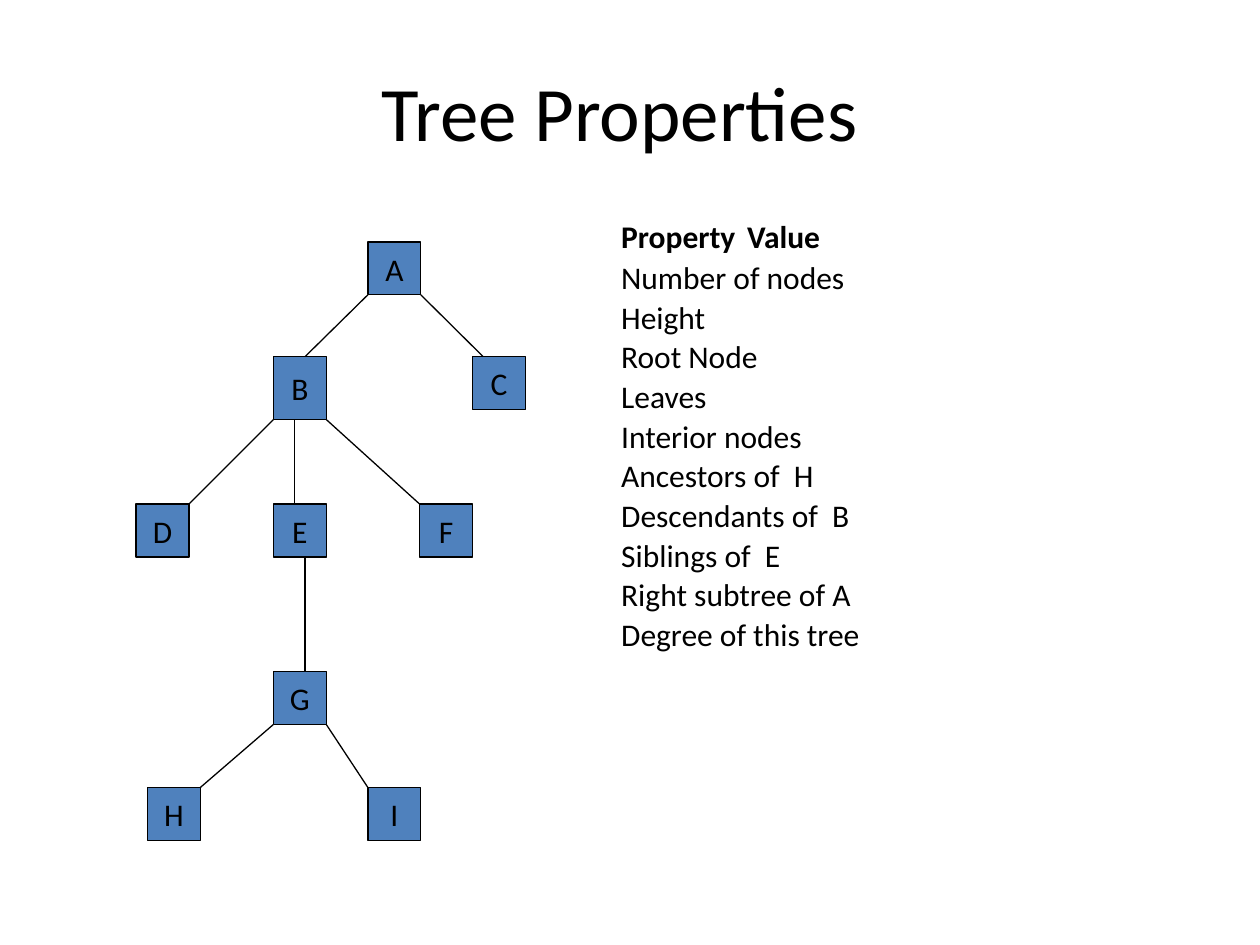
from lxml import etree
from pptx import Presentation
from pptx.dml.color import RGBColor
from pptx.enum.shapes import MSO_CONNECTOR, MSO_SHAPE
from pptx.enum.text import MSO_ANCHOR, PP_ALIGN
from pptx.oxml.ns import qn
from pptx.util import Inches, Pt

RECT = MSO_SHAPE.RECTANGLE
LINE = MSO_CONNECTOR.STRAIGHT
MID = MSO_ANCHOR.MIDDLE
MID_X = PP_ALIGN.CENTER
LEFT = PP_ALIGN.LEFT

INK = {name: RGBColor.from_string(code) for name, code in {
    "text": "000000", "line": "000000", "node": "4F81BD"}.items()}
SIDE = 0.42
NODES = {
    "A": (2.92, 1.92, SIDE), "B": (2.17, 2.83, 0.5), "C": (3.75, 2.83, SIDE),
    "D": (1.08, 4, SIDE), "E": (2.17, 4, SIDE), "F": (3.33, 4, SIDE),
    "G": (2.17, 5.33, SIDE), "H": (1.17, 6.25, SIDE), "I": (2.92, 6.25, SIDE),
}
EDGES = [
    ("A", "B", 0, 0.6), ("A", "C", 1, 0.2), ("B", "D", 0, 1),
    ("B", "E", 0.4, 0.4), ("B", "F", 1, 0), ("E", "G", 0.6, 0.6),
    ("G", "H", 0, 1), ("G", "I", 1, 0),
]
ROWS = [
    "Number of nodes", "Height", "Root Node", "Leaves", "Interior nodes",
    "Ancestors of  H", "Descendants of  B", "Siblings of  E",
    "Right subtree of A", "Degree of this tree",
]


def write(par, text, size=18, bold=False, align=LEFT, before=0, lead=1.0):
    """Write one formatted run into a paragraph."""
    par.alignment = align
    par.space_before = Pt(before)
    par.line_spacing = lead
    run = par.add_run()
    run.text = text
    font = run.font
    font.name, font.size, font.bold = "Calibri", Pt(size), bold
    font.color.rgb = INK["text"]


def place(shape, *box):
    """Move a shape to a box given in inches."""
    shape.left, shape.top, shape.width, shape.height = map(Inches, box)


class Deck:
    """Hold the style and the current slide."""

    def __init__(self, slide, width=0.75):
        """Keep the slide and the line width."""
        self.slide = slide
        self.width = Pt(width)

    def title(self, text, *box):
        """Fill the title placeholder."""
        shape = self.slide.shapes.title
        place(shape, *box)
        shape.text_frame.vertical_anchor = MID
        write(shape.text_frame.paragraphs[0], text, size=44, align=MID_X)

    def list(self, head, rows, tab, *box):
        """Fill the body placeholder with a heading and plain rows."""
        shape = self.slide.placeholders[1]
        place(shape, *box)
        frame = shape.text_frame
        for i, text in enumerate([head, *rows]):
            par = frame.add_paragraph() if i else frame.paragraphs[0]
            props = par._p.get_or_add_pPr()
            props.set("marL", "0")
            props.set("indent", "0")
            etree.SubElement(props, qn("a:buNone"))
            if i:
                write(par, text, before=9.7, lead=0.6)
            else:
                tabs = etree.SubElement(props, qn("a:tabLst"))
                etree.SubElement(tabs, qn("a:tab"), pos=str(Inches(tab)), algn="l")
                write(par, text, bold=True)

    def node(self, name, x, y, high):
        """Draw one labelled tree node."""
        shape = self.slide.shapes.add_shape(
            RECT, Inches(x), Inches(y), Inches(SIDE), Inches(high))
        shape.shadow.inherit = False
        shape.fill.solid()
        shape.fill.fore_color.rgb = INK["node"]
        shape.line.color.rgb = INK["line"]
        shape.line.width = self.width
        frame = shape.text_frame
        frame.word_wrap = False
        frame.vertical_anchor = MID
        write(frame.paragraphs[0], name, align=MID_X)

    def edge(self, top, end, part, goal):
        """Join two nodes at fractions of their widths."""
        x, y, high = NODES[top]
        to_x, to_y, _ = NODES[end]
        line = self.slide.shapes.add_connector(
            LINE, Inches(x + part * SIDE), Inches(y + high),
            Inches(to_x + goal * SIDE), Inches(to_y))
        line.line.color.rgb = INK["line"]
        line.line.width = self.width
        etree.SubElement(line._element.spPr, qn("a:effectLst"))


def main():
    """Build and save the slide."""
    prs = Presentation()
    prs.slide_width, prs.slide_height = Inches(10), Inches(7.5)
    deck = Deck(prs.slides.add_slide(prs.slide_layouts[1]))
    deck.title("Tree Properties", 0.67, 0.42, 8.5, 0.92)
    for name, spot in NODES.items():
        deck.node(name, *spot)
    for edge in EDGES:
        deck.edge(*edge)
    deck.list("Property\tValue", ROWS, 2, 4.83, 1.67, 4.5, 5.1)
    prs.save("out.pptx")


if __name__ == "__main__":
    main()
